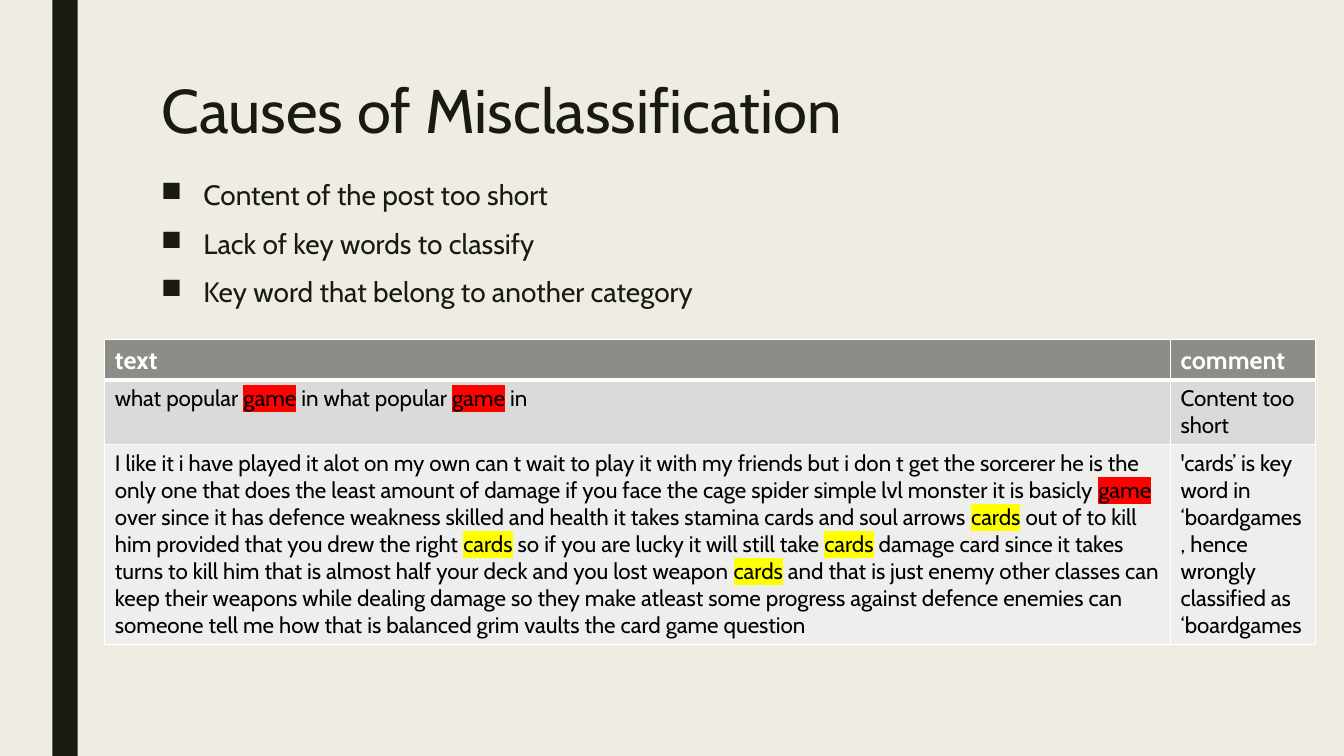
"""Build the slide on causes of misclassification."""
from dataclasses import dataclass

from lxml.etree import SubElement
from pptx import Presentation
from pptx.dml.color import RGBColor as RGB
from pptx.enum.shapes import MSO_SHAPE as SHAPE
from pptx.enum.text import MSO_ANCHOR as ANCHOR
from pptx.oxml import parse_xml
from pptx.oxml.ns import nsdecls, qn
from pptx.slide import Slide
from pptx.table import _Cell as Cell
from pptx.text.text import TextFrame, _Paragraph as Para
from pptx.util import Inches, Pt

COLORS = {
    "paper": "EFEDE3", "ink": "191B0E", "white": "FFFFFF", "black": "000000",
    "header": "8C8D86", "odd": "DADBD9", "even": "EEEEED",
}
HIGHLIGHTS = {"game": "FF0000", "cards": "FFFF00"}
TITLE_FONT = {"name": "Cabin", "size": Pt(44)}
BODY_FONT = {"name": "Cabin", "size": Pt(20)}
HEAD_FONT = {"name": "Cabin", "size": Pt(18), "bold": True}
CELL_FONT = {"name": "Cabin", "size": Pt(16), "bold": False}
TITLE_PARA = {"line_spacing": 0.89}
BODY_PARA = {"line_spacing": 0.94, "space_before": Pt(10), "space_after": Pt(2)}


@dataclass
class TextBlock:
    """A text box with one format for all of its lines."""
    top: float
    height: float
    lines: list[str]
    font: dict
    para: dict
    bullet: str = ""


@dataclass
class Row:
    """A table row; words between bars are highlighted."""
    height: float
    fill: str
    color: str
    font: dict
    texts: list[str]
    bottom: int = 1


BLOCKS = [
    TextBlock(0.75, 1.62, ["Causes of Misclassification"], TITLE_FONT, TITLE_PARA),
    TextBlock(1.74, 3.92, [
        "Content of the post too short",
        "Lack of key words to classify",
        "Key word that belong to another category",
    ], BODY_FONT, BODY_PARA, "■"),
]
COLUMNS = [10.57, 1.44]
ROWS = [
    Row(0.4, "header", "white", HEAD_FONT, ["text", "comment"], 3),
    Row(0.64, "odd", "black", CELL_FONT, [
        "what popular |game| in what popular |game| in",
        "Content too short",
    ]),
    Row(1.98, "even", "black", CELL_FONT, [
        "I like it i have played it alot on my own can t wait to play it with my "
        "friends but i don t get the sorcerer he is the only one that does the least "
        "amount of damage if you face the cage spider simple lvl monster it is basicly "
        "|game| over since it has defence weakness skilled and health it takes stamina "
        "cards and soul arrows |cards| out of to kill him provided that you drew the "
        "right |cards| so if you are lucky it will still take |cards| damage card since "
        "it takes turns to kill him that is almost half your deck and you lost weapon "
        "|cards| and that is just enemy other classes can keep their weapons while "
        "dealing damage so they make atleast some progress against defence enemies can "
        "someone tell me how that is balanced grim vaults the card game question",
        "'cards’ is key word in ‘boardgames, hence wrongly classified as ‘boardgames",
    ]),
]


def rgb(name: str) -> RGB:
    """Look up a named colour."""
    return RGB.from_string(COLORS[name])


def apply(target: object, values: dict) -> None:
    """Set every attribute in a dict of format values."""
    for name, value in values.items():
        setattr(target, name, value)


def add_runs(p: Para, text: str, font: dict, color: str) -> None:
    """Add text to a paragraph, highlighting the words between bars."""
    for i, part in enumerate(text.split("|")):
        r = p.add_run()
        r.text = part
        apply(r.font, font)
        r.font.color.rgb = rgb(color)
        if i % 2:
            mark = parse_xml(f'<a:highlight {nsdecls("a")}>'
                             f'<a:srgbClr val="{HIGHLIGHTS[part]}"/></a:highlight>')
            r.font._element.find(qn("a:solidFill")).addnext(mark)


def add_bullet(p: Para, char: str) -> None:
    """Give a paragraph a bullet with a hanging indent."""
    pPr = p._p.get_or_add_pPr()
    indent = Inches(0.42)
    pPr.set("marL", str(indent))
    pPr.set("indent", str(-indent))
    SubElement(pPr, qn("a:buChar")).set("char", char)


def add_block(slide: Slide, block: TextBlock) -> None:
    """Draw a text block."""
    sp = slide.shapes.add_textbox(Inches(1.5), Inches(block.top),
                                  Inches(10.5), Inches(block.height))
    tf: TextFrame = sp.text_frame
    apply(tf, {"word_wrap": True, "vertical_anchor": ANCHOR.TOP})
    for i, line in enumerate(block.lines):
        p = tf.add_paragraph() if i else tf.paragraphs[0]
        apply(p, block.para)
        if block.bullet:
            add_bullet(p, block.bullet)
        add_runs(p, line, block.font, "ink")


def set_borders(cell: Cell, widths: dict[str, int]) -> None:
    """Draw white lines on the four sides of a cell."""
    tcPr = cell._tc.get_or_add_tcPr()
    for side, width in widths.items():
        tcPr.append(parse_xml(
            f'<a:ln{side} {nsdecls("a")} w="{Pt(width)}"><a:solidFill>'
            f'<a:srgbClr val="{COLORS["white"]}"/></a:solidFill></a:ln{side}>'))


def add_examples(slide: Slide) -> None:
    """Draw the table of misclassified posts."""
    height = sum(row.height for row in ROWS)
    table = slide.shapes.add_table(len(ROWS), len(COLUMNS), Inches(1.04), Inches(3.37),
                                   Inches(sum(COLUMNS)), Inches(height)).table
    apply(table, {"first_row": False, "horz_banding": False})
    for column, width in zip(table.columns, COLUMNS):
        column.width = Inches(width)
    top = 1
    for i, row in enumerate(ROWS):
        table.rows[i].height = Inches(row.height)
        for j, text in enumerate(row.texts):
            cell = table.cell(i, j)
            set_borders(cell, {"L": 1, "R": 1, "T": top, "B": row.bottom})
            cell.fill.solid()
            cell.fill.fore_color.rgb = rgb(row.fill)
            add_runs(cell.text_frame.paragraphs[0], text, row.font, row.color)
        top = row.bottom


def main() -> None:
    """Create and save the presentation."""
    prs = Presentation()
    apply(prs, {"slide_width": Inches(13.33), "slide_height": Inches(7.5)})
    slide = prs.slides.add_slide(prs.slide_layouts[6])
    slide.background.fill.solid()
    slide.background.fill.fore_color.rgb = rgb("paper")
    bar = slide.shapes.add_shape(SHAPE.RECTANGLE, Inches(0.52), 0,
                                 Inches(0.25), prs.slide_height)
    bar.shadow.inherit = False
    bar.fill.solid()
    bar.fill.fore_color.rgb = rgb("ink")
    bar.line.fill.background()
    for block in BLOCKS:
        add_block(slide, block)
    add_examples(slide)
    prs.save("out.pptx")


if __name__ == "__main__":
    main()
